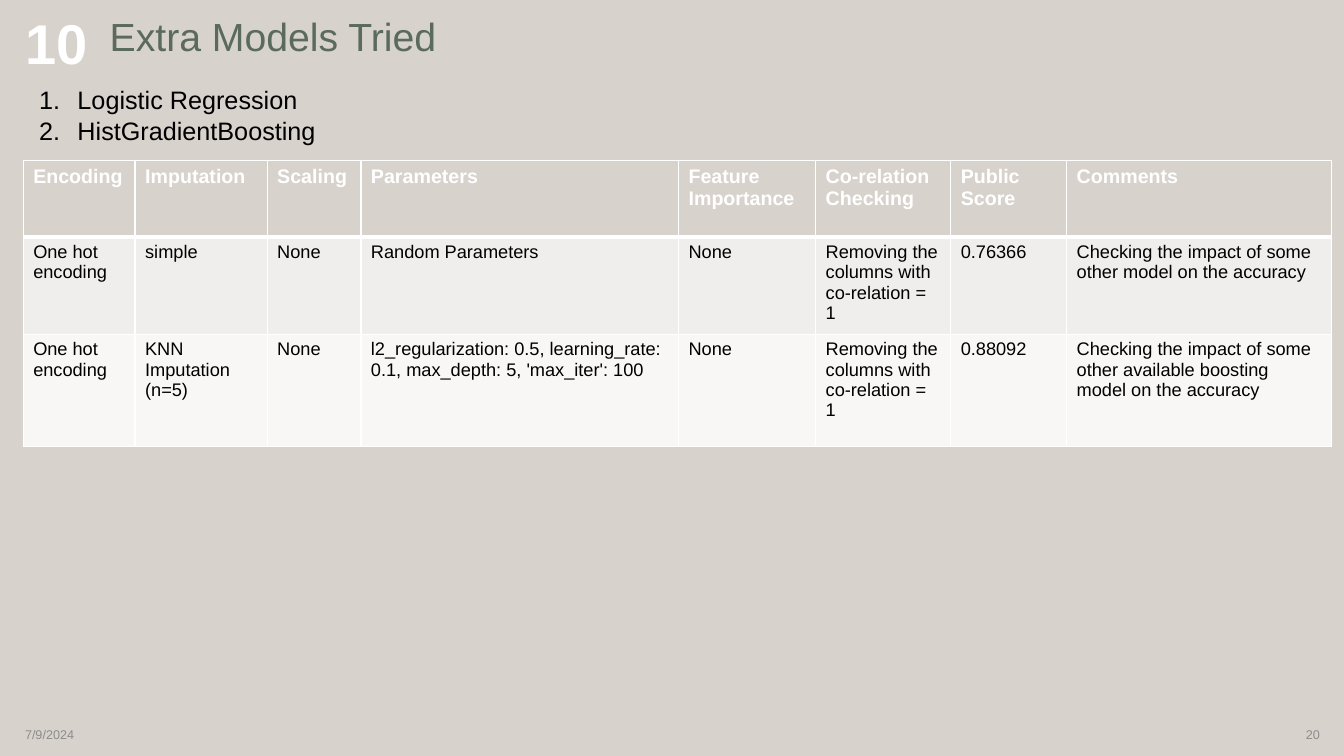
from lxml.etree import SubElement
from pptx import Presentation
from pptx.dml.color import RGBColor
from pptx.enum.text import MSO_ANCHOR, PP_ALIGN
from pptx.oxml.ns import qn
from pptx.util import Inches, Pt

COLORS = {
    "background": "D8D2CD",
    "title": "5B6A5E",
    "footer": "8C8C8C",
    "white": "FFFFFF",
    "black": "000000",
    "first_row": "F0EEED",
    "second_row": "F8F7F6",
}
FONT = "Arial"
COLUMN_WIDTHS = [1.11, 1.31, 0.93, 3.15, 1.36, 1.34, 1.15, 2.63]
ROW_HEIGHTS = [0.76, 0.91, 1.11]
ROW_FILLS = ["background", "first_row", "second_row"]
EXPERIMENTS = [
    ["Encoding", "Imputation", "Scaling", "Parameters", "Feature Importance",
     "Co-relation Checking", "Public Score", "Comments"],
    ["One hot encoding", "simple", "None", "Random Parameters", "None",
     "Removing the columns with co-relation = 1", "0.76366",
     "Checking the impact of some other model on the accuracy"],
    ["One hot encoding", "KNN Imputation (n=5)", "None",
     "l2_regularization: 0.5, learning_rate: 0.1, max_depth: 5, 'max_iter': 100",
     "None", "Removing the columns with co-relation = 1", "0.88092",
     "Checking the impact of some other available boosting model on the accuracy"],
]


def rgb(name):
    return RGBColor.from_string(COLORS[name])


def style_text(frame, size, color, bold=False):
    for paragraph in frame.paragraphs:
        for run in paragraph.runs:
            run.font.name = FONT
            run.font.size = Pt(size)
            run.font.bold = bold
            run.font.color.rgb = rgb(color)


def add_text(slide, box, text, size, color, bold=False, anchor=MSO_ANCHOR.MIDDLE):
    frame = slide.shapes.add_textbox(*map(Inches, box)).text_frame
    frame.word_wrap = True
    frame.vertical_anchor = anchor
    frame.text = text
    style_text(frame, size, color, bold)
    return frame


def number_paragraphs(frame):
    indent = Inches(0.38)
    for paragraph in frame.paragraphs:
        properties = paragraph._p.get_or_add_pPr()
        properties.set("marL", str(indent))
        properties.set("indent", str(-indent))
        SubElement(properties, qn("a:buFont"), typeface=FONT)
        SubElement(properties, qn("a:buAutoNum"), type="arabicPeriod")


def add_borders(cell, bottom_width):
    properties = cell._tc.get_or_add_tcPr()
    for side, width in (("L", 1), ("R", 1), ("T", 1), ("B", bottom_width)):
        line = SubElement(properties, qn(f"a:ln{side}"), w=str(Pt(width)))
        fill = SubElement(line, qn("a:solidFill"))
        SubElement(fill, qn("a:srgbClr"), val=COLORS["white"])


def add_experiment_table(slide):
    table = slide.shapes.add_table(
        len(ROW_HEIGHTS), len(COLUMN_WIDTHS), Inches(0.23), Inches(1.59),
        Inches(sum(COLUMN_WIDTHS)), Inches(sum(ROW_HEIGHTS))).table
    table.horz_banding = False
    for column, width in zip(table.columns, COLUMN_WIDTHS):
        column.width = Inches(width)
    for index, (row, height) in enumerate(zip(table.rows, ROW_HEIGHTS)):
        row.height = Inches(height)
        header = index == 0
        for cell, text in zip(row.cells, EXPERIMENTS[index]):
            cell.text_frame.text = text
            style_text(cell.text_frame, 14 if header else 13,
                       "white" if header else "black", header)
            add_borders(cell, 3 if header else 1)
            cell.fill.solid()
            cell.fill.fore_color.rgb = rgb(ROW_FILLS[index])


def main():
    presentation = Presentation()
    presentation.slide_width = Inches(13.33)
    presentation.slide_height = Inches(7.5)
    slide = presentation.slides.add_slide(presentation.slide_layouts[6])
    slide.background.fill.solid()
    slide.background.fill.fore_color.rgb = rgb("background")

    section = add_text(slide, (0.15, 0.11, 1.85, 0.99), "10", 40, "white", True,
                       MSO_ANCHOR.TOP)
    section.paragraphs[0].line_spacing = 0.9
    section.paragraphs[0].space_before = Pt(10)
    title = add_text(slide, (0.99, -0.06, 4.3, 0.88), "Extra Models Tried", 28, "title")
    title.paragraphs[0].line_spacing = 0.9
    add_text(slide, (0.15, 7.09, 3, 0.4), "7/9/2024", 9, "footer")
    page = add_text(slide, (10.19, 7.09, 3, 0.4), "20", 9, "footer")
    page.paragraphs[0].alignment = PP_ALIGN.RIGHT
    add_experiment_table(slide)
    models = add_text(slide, (0.29, 0.79, 6.71, 0.71),
                      "Logistic Regression\nHistGradientBoosting", 18, "black",
                      anchor=MSO_ANCHOR.TOP)
    number_paragraphs(models)
    presentation.save("out.pptx")


if __name__ == "__main__":
    main()
